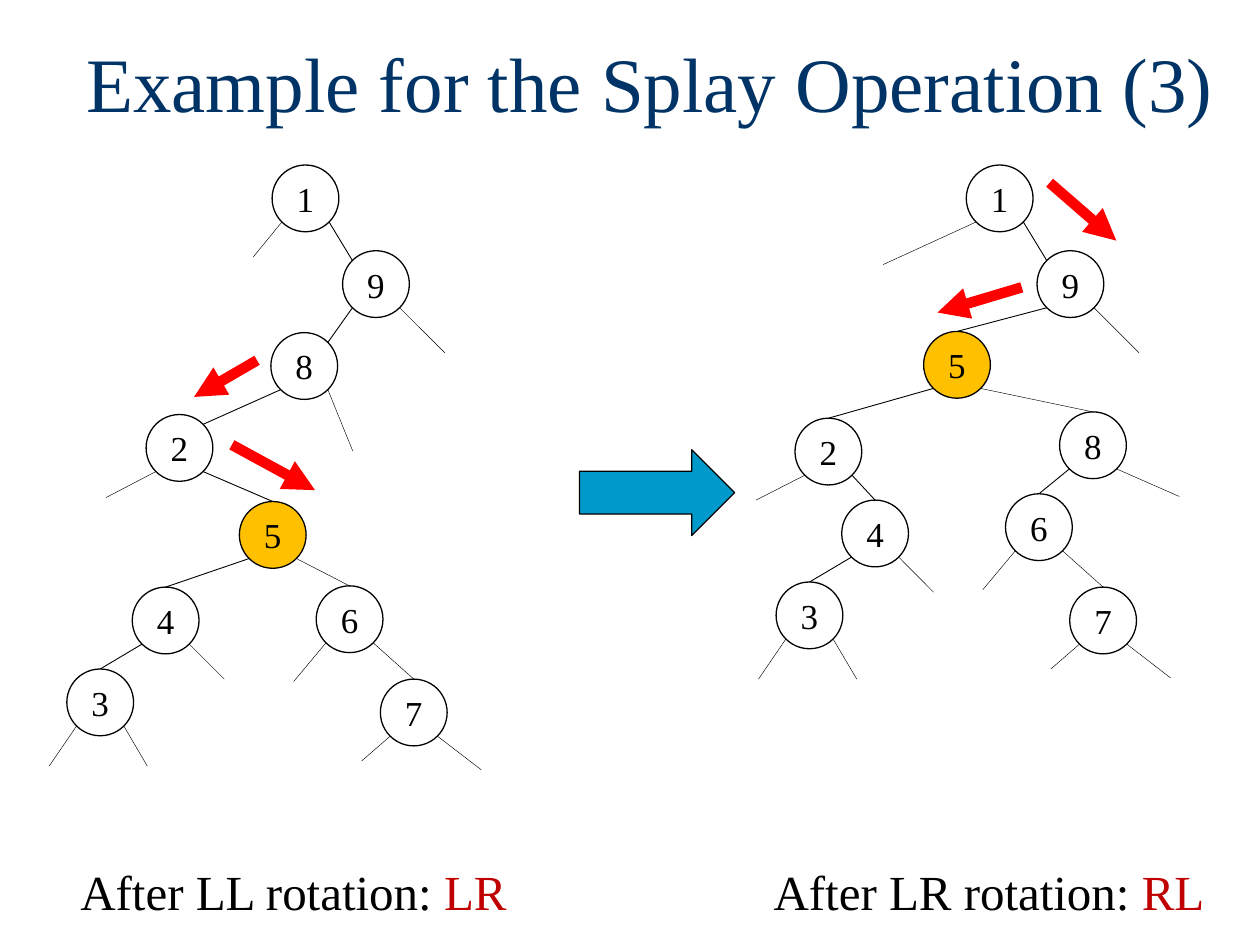
from lxml import etree
from pptx import Presentation
from pptx.dml.color import RGBColor
from pptx.enum import shapes, text
from pptx.oxml.ns import qn
from pptx.util import Pt

FONT = "Times New Roman"
COLORS = {"title": "003366", "ink": "000000", "accent": "C00000",
          "splayed": "FFC000", "block": "0099CC", "path": "FF0000"}
NODE = 38.16                # node diameter
CORNER = NODE / 2 * 0.707   # offset of a diagonal point on the circle
SPLAYED = 5

TITLE = "Example for the Splay Operation (3)"
# nodes: left, top; edges: parent, side, child, where it meets the child, width
# leaves: parent, side, end x, end y; paths: from x, y to x, y
TREES = [
    {"caption": ("After LL rotation: ", "LR"), "box": (37.4, 488.9, 260.6, 41),
     "nodes": {1: (155.5, 94.3), 9: (195.8, 143.3), 8: (154.8, 190.1),
               2: (83.5, 236.9), 5: (136.8, 286.6), 4: (75.6, 335.5),
               6: (180.7, 334.8), 3: (38.2, 382.3), 7: (217.4, 388.1)},
     "edges": [(1, "R", 9, "corner", 0.5), (9, "L", 8, "corner", 0.5),
               (8, "L", 2, "corner", 0.5), (2, "R", 5, "top", 0.5),
               (5, "L", 4, "top", 0.5), (5, "R", 6, "top", 0.25),
               (4, "L", 3, "top", 0.5), (6, "R", 7, "top", 0.25)],
     "leaves": [(1, "L", 144.7, 146.9), (9, "R", 254.2, 201.6),
                (8, "R", 201.6, 257.8), (2, "L", 60.5, 284.4),
                (4, "R", 128.2, 388.1), (3, "L", 28.1, 437.8),
                (3, "R", 84.2, 437.8), (6, "L", 167.8, 389.5),
                (7, "L", 206.6, 434.9), (7, "R", 275, 439.9)],
     "paths": [(146.9, 205.9, 110.9, 226.8), (132.5, 254.2, 180, 280.1)]},
    {"caption": ("After LR rotation: ", "RL"), "box": (433.4, 488.9, 263.5, 41),
     "nodes": {1: (552.2, 94.3), 9: (592.6, 143.3), 5: (527.8, 189.4),
               2: (454.3, 239), 8: (605.5, 235.4), 4: (481, 285.8),
               6: (574.6, 282.2), 3: (443.5, 332.6), 7: (611.3, 335.5)},
     "edges": [(1, "R", 9, "corner", 0.5), (9, "L", 5, "top", 0.5),
               (5, "L", 2, "top", 0.5), (5, "R", 8, "top", 0.25),
               (2, "R", 4, "top", 0.5), (8, "L", 6, "top", 0.5),
               (4, "L", 3, "top", 0.5), (6, "R", 7, "top", 0.25)],
     "leaves": [(1, "L", 504.7, 151.2), (9, "R", 650.9, 201.6),
                (2, "L", 432, 285.8), (8, "R", 673.9, 283.7),
                (4, "R", 533.5, 338.4), (6, "L", 561.6, 337),
                (3, "L", 433.4, 388.1), (3, "R", 489.6, 388.1),
                (7, "L", 600.5, 382.3), (7, "R", 668.9, 387.4)],
     "paths": [(583.9, 164.2, 535.7, 178.6), (599.8, 104.4, 637.9, 137.5)]},
]


def rgb(name):
    return RGBColor.from_string(COLORS[name])


def write(sp, runs, size, wrap, anchor):
    tf = sp.text_frame
    tf.word_wrap = wrap
    tf.vertical_anchor = anchor
    p = tf.paragraphs[0]
    p.alignment = text.PP_ALIGN.CENTER
    for words, color in runs:
        r = p.add_run()
        r.text = words
        r.font.name = FONT
        r.font.size = Pt(size)
        r.font.color.rgb = rgb(color)


def add_text(s, box, *args):
    write(s.shapes.add_textbox(*map(Pt, box)), *args)


def add_line(s, start, end, width, color="ink", arrow=False):
    line = s.shapes.add_connector(shapes.MSO_CONNECTOR.STRAIGHT,
                                  *map(Pt, (*start, *end)))
    line.line.width = Pt(width)
    line.line.color.rgb = rgb(color)
    if arrow:
        etree.SubElement(line.line._get_or_add_ln(), qn("a:tailEnd"), type="triangle")
    etree.SubElement(line._element.spPr, qn("a:effectLst"))


def add_outlined(s, kind, box, fill=None):
    sp = s.shapes.add_shape(kind, *map(Pt, box))
    sp.shadow.inherit = False
    if fill:
        sp.fill.solid()
        sp.fill.fore_color.rgb = rgb(fill)
    else:
        sp.fill.background()
    sp.line.width = Pt(0.75)
    sp.line.color.rgb = rgb("ink")
    return sp


def rim(node, side, half):
    """Point on a node's circle: side L, R or top; half is 1 below, -1 above."""
    x, y = node[0] + NODE / 2, node[1] + NODE / 2
    if side == "top":
        return x, node[1]
    return x + (CORNER if side == "R" else -CORNER), y + half * CORNER


def add_tree(s, tree):
    nodes = tree["nodes"]
    for parent, side, child, meet, width in tree["edges"]:
        facing = {"L": "R", "R": "L"}[side] if meet == "corner" else "top"
        add_line(s, rim(nodes[parent], side, 1), rim(nodes[child], facing, -1), width)
    for parent, side, x, y in tree["leaves"]:
        add_line(s, rim(nodes[parent], side, 1), (x, y), 0.25)
    for key, place in nodes.items():
        sp = add_outlined(s, shapes.MSO_SHAPE.OVAL, (*place, NODE, NODE),
                          "splayed" if key == SPLAYED else None)
        write(sp, [(str(key), "ink")], 20, False, text.MSO_ANCHOR.MIDDLE)
    label, rotation = tree["caption"]
    add_text(s, tree["box"], [(label, "ink"), (rotation, "accent")], 28, False,
             text.MSO_ANCHOR.TOP)
    for x1, y1, x2, y2 in tree["paths"]:
        add_line(s, (x1, y1), (x2, y2), 6, "path", arrow=True)


def main():
    prs = Presentation()
    prs.slide_width, prs.slide_height = Pt(720), Pt(540)
    s = prs.slides.add_slide(prs.slide_layouts[6])
    add_text(s, (38.2, 1.4, 666.7, 90), [(TITLE, "title")], 44, True,
             text.MSO_ANCHOR.MIDDLE)
    add_outlined(s, shapes.MSO_SHAPE.RIGHT_ARROW, (331.2, 257, 88.6, 49), "block")
    for tree in TREES:
        add_tree(s, tree)
    prs.save("out.pptx")


if __name__ == "__main__":
    main()
